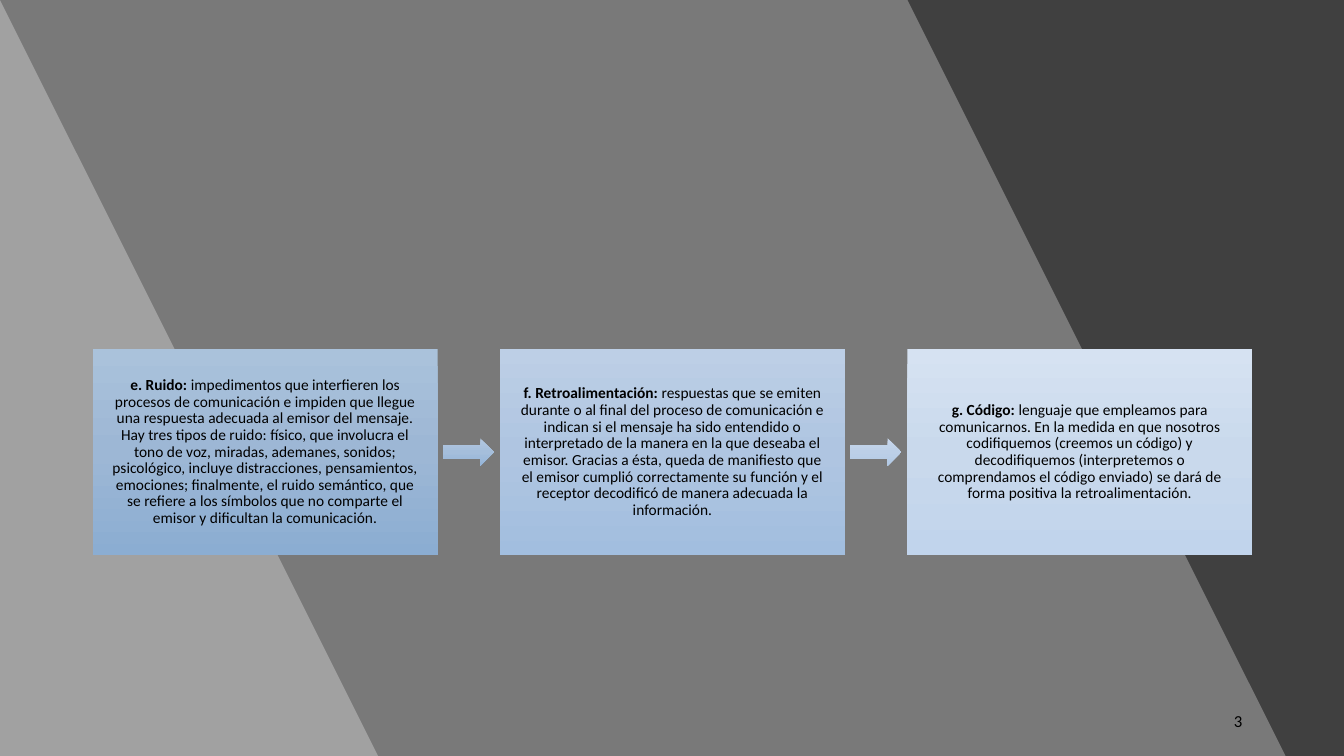
from copy import deepcopy

from lxml.etree import SubElement
from pptx import Presentation
from pptx.dml.color import RGBColor
from pptx.enum.shapes import MSO_SHAPE
from pptx.enum.text import MSO_ANCHOR, PP_ALIGN
from pptx.oxml.ns import qn
from pptx.util import Inches, Pt

WIDTH, HEIGHT = 13.33, 7.5
BLACK = RGBColor(0x00, 0x00, 0x00)
WHITE = RGBColor(0xFF, 0xFF, 0xFF)
DARK_GRAY = RGBColor(0x40, 0x40, 0x40)
RUIDO_BLUES = [RGBColor(0xAA, 0xC2, 0xDB), RGBColor(0x9D, 0xB7, 0xD5), RGBColor(0x8B, 0xAD, 0xD2)]
RETRO_BLUES = [RGBColor(0xBD, 0xCF, 0xE6), RGBColor(0xAF, 0xC5, 0xE1), RGBColor(0xA2, 0xBE, 0xDF)]
CODIGO_BLUES = [RGBColor(0xD6, 0xE2, 0xF2), RGBColor(0xC9, 0xD9, 0xEC), RGBColor(0xC1, 0xD4, 0xEC)]
FIRST_ARROW_BLUES = [RGBColor(0xB3, 0xC8, 0xE1), RGBColor(0xA5, 0xBE, 0xDB), RGBColor(0x95, 0xB5, 0xD9)]
SECOND_ARROW_BLUES = [RGBColor(0xC9, 0xD8, 0xED), RGBColor(0xBC, 0xCF, 0xE7), RGBColor(0xB1, 0xC9, 0xE5)]

BOX_LEFT, BOX_TOP, BOX_WIDTH, BOX_HEIGHT = 0.92, 3.46, 3.42, 2.05
BOX_STEP = 4.04
ARROW_GAP, ARROW_WIDTH, ARROW_HEIGHT = 0.05, 0.51, 0.27

CONCEPTS = [
    ("e. Ruido: ",
     "impedimentos que interfieren los procesos de comunicación e impiden que llegue una "
     "respuesta adecuada al emisor del mensaje. Hay tres tipos de ruido: físico, que involucra "
     "el tono de voz, miradas, ademanes, sonidos; psicológico, incluye distracciones, "
     "pensamientos, emociones; finalmente, el ruido semántico, que se refiere a los símbolos "
     "que no comparte el emisor y dificultan la comunicación.",
     RUIDO_BLUES, FIRST_ARROW_BLUES),
    ("f. Retroalimentación: ",
     "respuestas que se emiten durante o al final del proceso de comunicación e indican si el "
     "mensaje ha sido entendido o interpretado de la manera en la que deseaba el emisor. "
     "Gracias a ésta, queda de manifiesto que el emisor cumplió correctamente su función y el "
     "receptor decodificó de manera adecuada la información.",
     RETRO_BLUES, SECOND_ARROW_BLUES),
    ("g. Código: ",
     "lenguaje que empleamos para comunicarnos. En la medida en que nosotros codifiquemos "
     "(creemos un código) y decodifiquemos (interpretemos o comprendamos el código enviado) "
     "se dará de forma positiva la retroalimentación.",
     CODIGO_BLUES, None),
]


def write_text(shape, text, *, title="", size=11, align=PP_ALIGN.CENTER,
               margins=(0.17, 0.17), line_spacing=1.0):
    """Fill a shape with one paragraph that opens with an optional bold title."""
    frame = shape.text_frame
    frame.word_wrap = True
    frame.vertical_anchor = MSO_ANCHOR.MIDDLE
    frame.margin_left = frame.margin_right = Inches(margins[0])
    frame.margin_top = frame.margin_bottom = Inches(margins[1])
    paragraph = frame.paragraphs[0]
    paragraph.alignment = align
    paragraph.line_spacing = line_spacing
    for content, bold in ((title, True), (text, False)):
        if content:
            run = paragraph.add_run()
            run.text = content
            run.font.name = "Calibri"
            run.font.size = Pt(size)
            run.font.bold = bold
            run.font.color.rgb = BLACK


class ConceptSlide:
    def __init__(self, presentation):
        self.slide = presentation.slides.add_slide(presentation.slide_layouts[6])

    def preset(self, kind, left, top, width, height):
        shape = self.slide.shapes.add_shape(
            kind, Inches(left), Inches(top), Inches(width), Inches(height))
        shape.shadow.inherit = False
        shape.line.fill.background()
        return shape

    def background(self, color):
        shape = self.preset(MSO_SHAPE.RECTANGLE, 0, 0, WIDTH, HEIGHT)
        shape.fill.solid()
        shape.fill.fore_color.rgb = color

    def slanted_band(self, top_width, bottom_width):
        """Lay a 30 % white band from the left edge to a slanted side."""
        builder = self.slide.shapes.build_freeform(0, 0, scale=Inches(1))
        builder.add_line_segments(
            [(top_width, 0), (bottom_width, HEIGHT), (0, HEIGHT)], close=True)
        band = builder.convert_to_shape()
        band.shadow.inherit = False
        band.line.fill.background()
        band.fill.solid()
        band.fill.fore_color.rgb = WHITE
        color = next(band.element.spPr.iter(qn("a:srgbClr")))
        SubElement(color, qn("a:alpha"), val="30000")

    def gradient_shape(self, kind, left, top, width, height, colors):
        """Add a preset shape shaded from top to bottom in three colours."""
        shape = self.preset(kind, left, top, width, height)
        shape.fill.gradient()
        shape.fill.gradient_angle = 270
        stop_list = next(shape.element.spPr.iter(qn("a:gsLst")))
        stop_list.append(deepcopy(stop_list[0]))
        for stop, position, color in zip(shape.fill.gradient_stops, (0, 0.5, 1), colors):
            stop.position = position
            stop.color.rgb = color
        return shape

    def page_number(self, number):
        box = self.slide.shapes.add_textbox(
            Inches(9.42), Inches(6.95), Inches(3), Inches(0.4))
        write_text(box, number, size=12, align=PP_ALIGN.RIGHT, margins=(0.1, 0.05))


def main():
    presentation = Presentation()
    presentation.slide_width = Inches(WIDTH)
    presentation.slide_height = Inches(HEIGHT)
    page = ConceptSlide(presentation)
    page.background(DARK_GRAY)
    page.slanted_band(9.42, 12.89)
    page.slanted_band(0.44, 3.92)

    arrow_top = BOX_TOP + (BOX_HEIGHT - ARROW_HEIGHT) / 2
    for index, (title, text, box_colors, arrow_colors) in enumerate(CONCEPTS):
        left = BOX_LEFT + index * BOX_STEP
        box = page.gradient_shape(
            MSO_SHAPE.RECTANGLE, left, BOX_TOP, BOX_WIDTH, BOX_HEIGHT, box_colors)
        write_text(box, text, title=title, line_spacing=0.9)
        if arrow_colors:
            page.gradient_shape(
                MSO_SHAPE.RIGHT_ARROW, left + BOX_WIDTH + ARROW_GAP, arrow_top,
                ARROW_WIDTH, ARROW_HEIGHT, arrow_colors)

    page.page_number("3")
    presentation.save("out.pptx")


if __name__ == "__main__":
    main()
